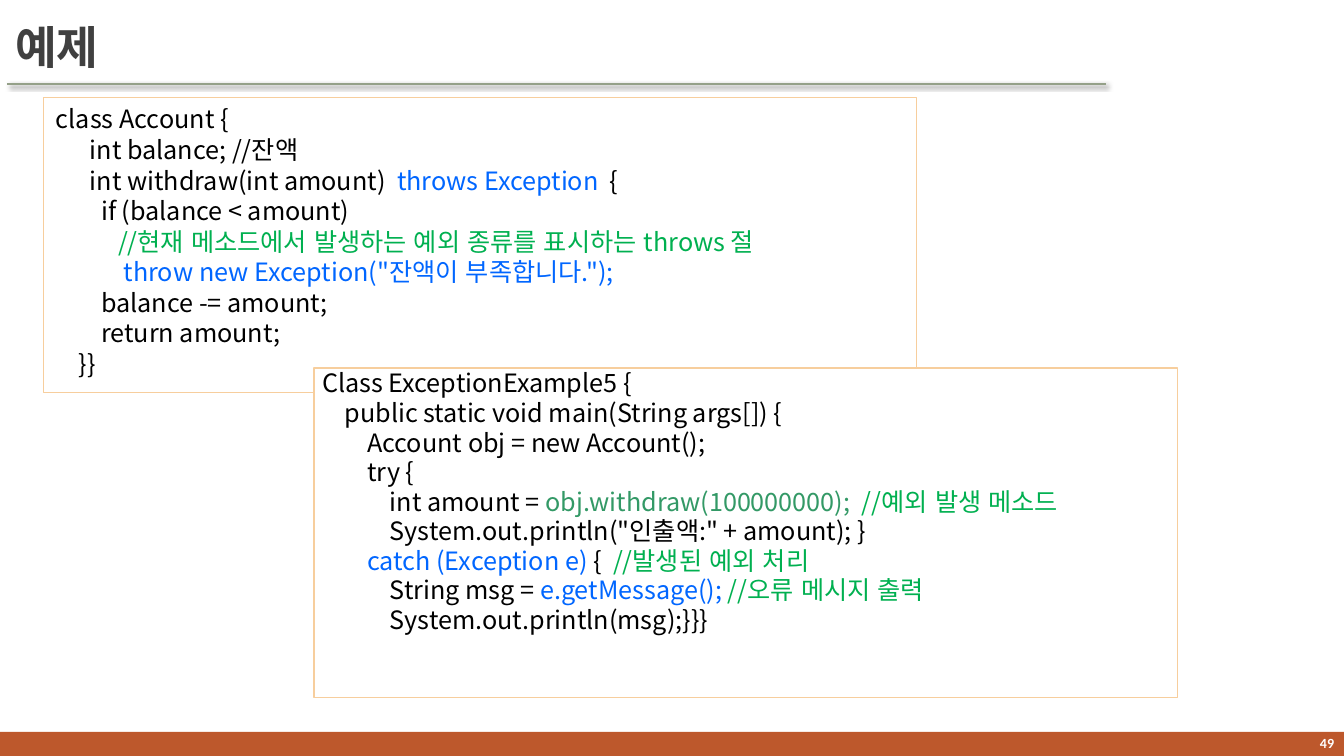
from lxml import etree
from pptx import Presentation
from pptx.dml.color import RGBColor
from pptx.enum.lang import MSO_LANGUAGE_ID
from pptx.enum.shapes import MSO_CONNECTOR, MSO_SHAPE
from pptx.enum.text import MSO_ANCHOR, PP_ALIGN
from pptx.oxml import parse_xml
from pptx.oxml.ns import qn
from pptx.util import Emu, Pt

KOREAN_FONT = "Noto Sans CJK KR"
BLACK, BLUE, GREEN, TEAL = "000000", "0066FF", "00B050", "339966"


def px(length):
    return Emu(round(length * 914400 / 100.8))


def style_run(run, size, color, name, bold=False):
    run.font.size = Pt(size)
    run.font.bold = bold
    run.font.name = name
    run.font.color.rgb = RGBColor.from_string(color)
    run.font.language_id = MSO_LANGUAGE_ID.KOREAN
    etree.SubElement(run.font._element, qn("a:ea"), typeface=KOREAN_FONT)


presentation = Presentation()
presentation.slide_width, presentation.slide_height = px(1344), px(756)
slide = presentation.slides.add_slide(presentation.slide_layouts[6])
shapes = slide.shapes

# Footer band
footer = shapes.add_shape(MSO_SHAPE.RECTANGLE, px(0), px(732), px(1344), px(24))
footer.shadow.inherit = False
footer.fill.solid()
footer.fill.fore_color.rgb = RGBColor.from_string("BD582C")
footer.line.fill.background()

# Rule under the title, with a soft shadow
rule = shapes.add_connector(MSO_CONNECTOR.STRAIGHT, px(7), px(84), px(1106), px(84))
rule.line.color.rgb = RGBColor.from_string("94A088")
rule.line.width = Pt(2)
rule._element.spPr.append(parse_xml(
    '<a:effectLst xmlns:a="http://schemas.openxmlformats.org/drawingml/2006/main">'
    '<a:outerShdw blurRad="38100" dist="25400" dir="2700000" algn="tl" rotWithShape="0">'
    '<a:srgbClr val="000000"><a:alpha val="60000"/></a:srgbClr>'
    '</a:outerShdw></a:effectLst>'))

# Title and page number
labels = [
    ("예제", (6, 12, 1109, 68), 32.4, "404040", PP_ALIGN.LEFT),
    ("49", (1200, 729, 144, 27), 10, "FFFFFF", PP_ALIGN.RIGHT),
]
for text, place, size, color, alignment in labels:
    label = shapes.add_textbox(*map(px, place))
    frame = label.text_frame
    frame.word_wrap = True
    frame.vertical_anchor = MSO_ANCHOR.MIDDLE
    frame.text = text
    paragraph = frame.paragraphs[0]
    paragraph.alignment = alignment
    run = paragraph.runs[0]
    style_run(run, size, color, "Calibri", bold=True)
    if size > 30:
        run.font._element.set("spc", "-50")

# Code listings: each line is a list of (text, color) pieces
account_code = [
    [("class Account {", BLACK)],
    [("      int balance; //잔액", BLACK)],
    [("      int withdraw(int amount)  ", BLACK), ("throws Exception  ", BLUE), ("{", BLACK)],
    [("        if (balance < amount)", BLACK)],
    [("           //현재 메소드에서 발생하는 예외 종류를 표시하는 throws 절", GREEN)],
    [('            throw new Exception("잔액이 부족합니다.");', BLUE)],
    [("        balance -= amount;", BLACK)],
    [("        return amount;", BLACK)],
    [("    }}", BLACK)],
]
main_code = [
    [("Class ExceptionExample5 {", BLACK)],
    [("    public static void main(String args[]) {", BLACK)],
    [("        Account obj = new Account();", BLACK)],
    [("        try {", BLACK)],
    [("            int amount = ", BLACK), ("obj.withdraw(100000000);  ", TEAL),
     ("//예외 발생 메소드", GREEN)],
    [('            System.out.println("인출액:" + amount); }', BLACK)],
    [("        catch (Exception e) ", BLUE), ("{  ", BLACK), ("//발생된 예외 처리", GREEN)],
    [("            String msg = ", BLACK), ("e.getMessage(); ", BLUE),
     ("//오류 메시지 출력", GREEN)],
    [("            System.out.println(msg);}}}", BLACK)],
]

# Code boxes: place, side inset, line spacing, space before
code_boxes = [
    (account_code, (44, 98, 873, 295), 12, Pt(20), Pt(1.8)),
    (main_code, (314, 368, 864, 330), 8, 0.7, Pt(6)),
]
for code, place, inset, line_spacing, space_before in code_boxes:
    box = shapes.add_shape(MSO_SHAPE.RECTANGLE, *map(px, place))
    box.shadow.inherit = False
    box.fill.solid()
    box.fill.fore_color.rgb = RGBColor.from_string("FFFFFF")
    box.line.color.rgb = RGBColor.from_string("F7CE9D")
    box.line.width = Pt(0.75)
    frame = box.text_frame
    frame.word_wrap = True
    frame.vertical_anchor = MSO_ANCHOR.TOP
    frame.margin_left = frame.margin_right = px(inset)
    frame.margin_top = frame.margin_bottom = px(8)
    frame.text = "\n".join([""] * len(code))
    for index, (paragraph, pieces) in enumerate(zip(frame.paragraphs, code)):
        paragraph.alignment = PP_ALIGN.JUSTIFY
        paragraph.line_spacing = line_spacing
        paragraph.space_before = space_before if index else Pt(0)
        for text, color in pieces:
            run = paragraph.add_run()
            run.text = text
            style_run(run, 18, color, KOREAN_FONT)

presentation.save("out.pptx")
